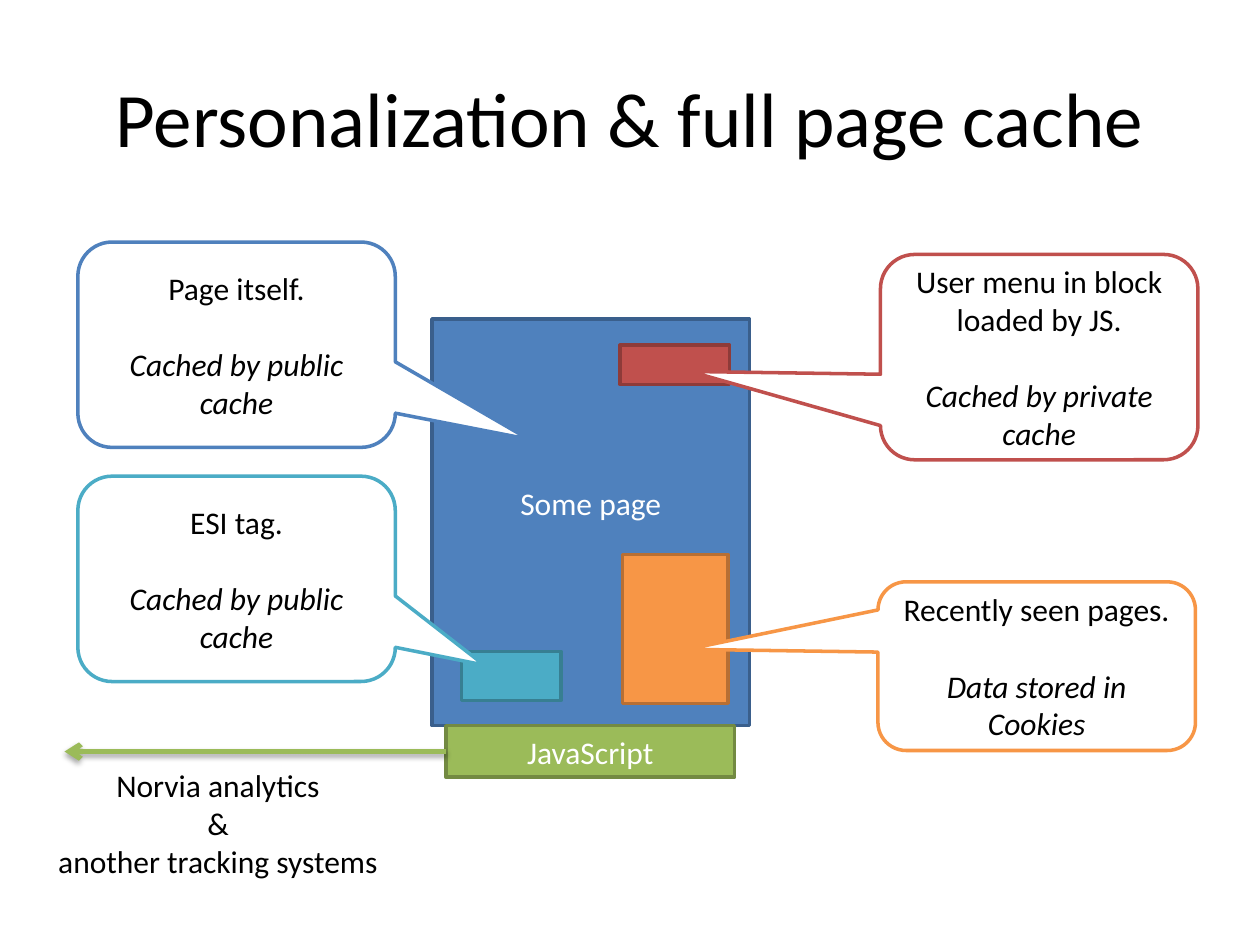
"""Build the slide on personalization and full page cache."""
from lxml.etree import SubElement as Sub
from pptx import Presentation
from pptx.dml.color import RGBColor as RGB
from pptx.enum.shapes import MSO_CONNECTOR as Link, MSO_SHAPE as Kind
from pptx.enum.text import MSO_ANCHOR as Anchor, PP_ALIGN as Align
from pptx.oxml import parse_xml
from pptx.oxml.ns import qn
from pptx.util import Cm, Pt

BLACK = RGB(0x00, 0x00, 0x00)
WHITE = RGB(0xFF, 0xFF, 0xFF)
BLUE = RGB(0x4F, 0x81, 0xBD)
NAVY = RGB(0x3A, 0x5F, 0x8C)
RED = RGB(0xC0, 0x50, 0x4D)
MAROON = RGB(0x8E, 0x3B, 0x39)
ORANGE = RGB(0xF7, 0x96, 0x46)
BROWN = RGB(0xB7, 0x6F, 0x34)
GREEN = RGB(0x9B, 0xBB, 0x59)
OLIVE = RGB(0x73, 0x8A, 0x42)
AQUA = RGB(0x4B, 0xAC, 0xC6)
TEAL = RGB(0x37, 0x7F, 0x92)

SHADOW = (
    '<a:effectLst xmlns:a="http://schemas.openxmlformats.org/drawingml/2006/main">'
    '<a:outerShdw blurRad="40000" dist="23000" dir="5400000" rotWithShape="0">'
    '<a:srgbClr val="000000"><a:alpha val="35000"/></a:srgbClr>'
    '</a:outerShdw></a:effectLst>'
)


class Deck:
    def __init__(self, font="Calibri", size=18):
        self.font, self.size = font, size
        self.file = Presentation()
        self.file.slide_width, self.file.slide_height = Cm(25.4), Cm(19.05)
        self.slide = self.file.slides.add_slide(self.file.slide_layouts[6])

    def label(self, frame, lines, color, size=None):
        frame.text = "\n".join(lines)
        for para in frame.paragraphs:
            para.alignment = Align.CENTER
            para.font.name = self.font
            para.font.size = Pt(size or self.size)
            para.font.color.rgb = color

    def shape(self, kind, box, fill, edge):
        item = self.slide.shapes.add_shape(kind, *map(Cm, box))
        item.shadow.inherit = False
        item.fill.solid()
        item.fill.fore_color.rgb = fill
        item.line.color.rgb = edge
        item.line.width = Pt(2)
        item.text_frame.vertical_anchor = Anchor.MIDDLE
        return item

    def block(self, box, fill, edge, name=None):
        item = self.shape(Kind.RECTANGLE, box, fill, edge)
        if name:
            self.label(item.text_frame, [name], WHITE)
        return item

    def callout(self, box, tip, color, title, note):
        item = self.shape(Kind.ROUNDED_RECTANGULAR_CALLOUT, box, WHITE, color)
        item.adjustments[0], item.adjustments[1] = tip
        self.label(item.text_frame, [title, note], BLACK)
        last = item.text_frame.paragraphs[1]
        last.font.italic = True
        last.space_before = Pt(22)

    def text(self, box, lines, size=None, wrap=True, anchor=Anchor.TOP):
        frame = self.slide.shapes.add_textbox(*map(Cm, box)).text_frame
        frame.word_wrap = wrap
        frame.vertical_anchor = anchor
        self.label(frame, lines, BLACK, size)

    def arrow(self, start, end, color, source):
        ends = map(Cm, start + end)
        item = self.slide.shapes.add_connector(Link.STRAIGHT, *ends)
        item.begin_connect(source, 1)
        item.line.color.rgb = color
        item.line.width = Pt(3)
        props = item._element.spPr
        Sub(props.find(qn("a:ln")), qn("a:tailEnd"), type="arrow")
        props.append(parse_xml(SHADOW))


def main():
    deck = Deck()
    deck.text((1.27, 0.76, 22.86, 3.18), ["Personalization & full page cache"],
              size=44, anchor=Anchor.MIDDLE)

    page = deck.block((8.71, 6.43, 6.4, 8.2), BLUE, NAVY, "Some page")
    page.text_frame.margin_bottom = Cm(0.9)
    deck.block((12.5, 6.96, 2.21, 0.79), RED, MAROON)
    deck.block((12.55, 11.18, 2.13, 3), ORANGE, BROWN)
    script = deck.block((8.99, 14.63, 5.82, 1.04), GREEN, OLIVE, "JavaScript")
    deck.arrow((8.99, 15.15), (1.3, 15.15), GREEN, script)
    deck.text((0.89, 15.32, 7.01, 2.57),
              ["Norvia analytics", "&", "another tracking systems"], wrap=False)

    public = "Cached by public cache"
    deck.callout((17.7, 11.73, 6.4, 3.4), (-1.1, -0.1), ORANGE,
                 "Recently seen pages.", "Data stored in Cookies")
    deck.callout((17.75, 5.13, 6.4, 4.14), (-1.1, 0.07), RED,
                 "User menu in block loaded by JS.", "Cached by private cache")
    deck.callout((1.57, 4.88, 6.4, 4.14), (0.92, 0.46), BLUE,
                 "Page itself.", public)
    deck.block((9.3, 13.13, 2.01, 0.99), AQUA, TEAL)
    deck.callout((1.57, 9.6, 6.4, 4.14), (0.78, 0.42), AQUA,
                 "ESI tag.", public)
    deck.file.save("out.pptx")


if __name__ == "__main__":
    main()
